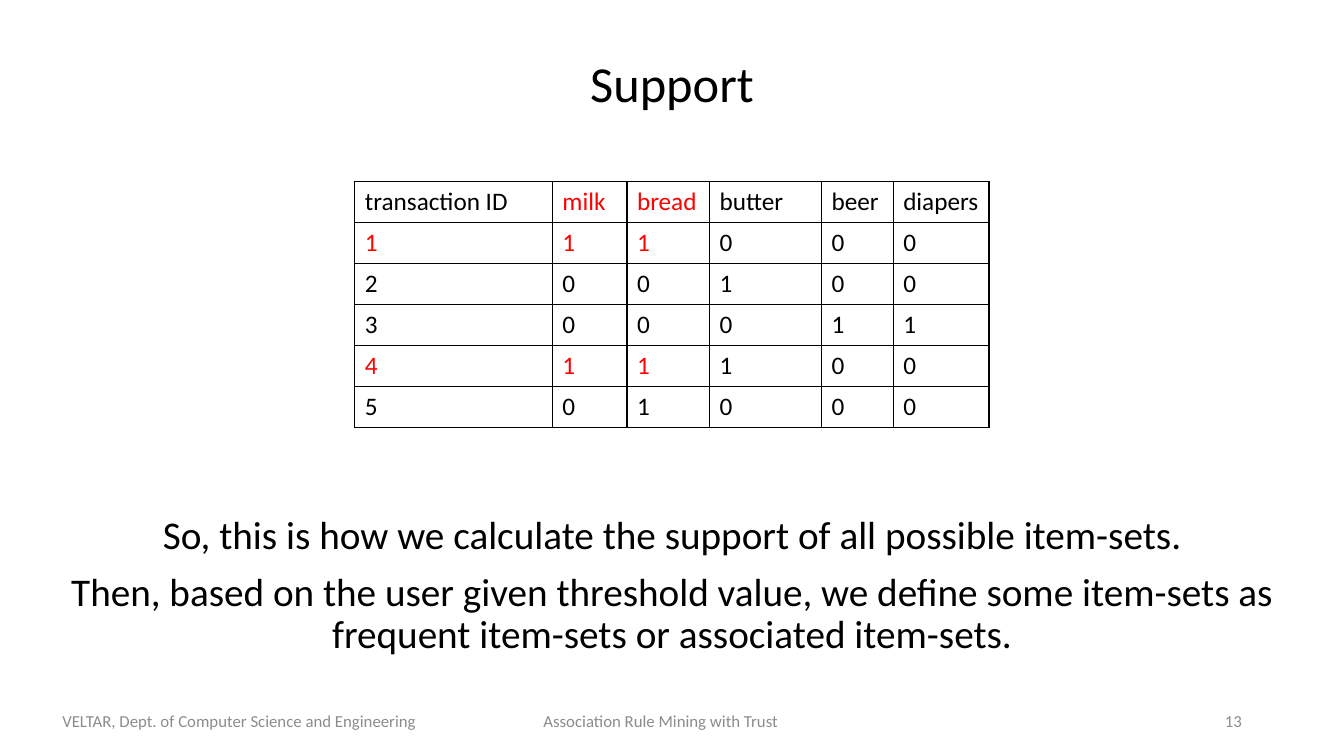
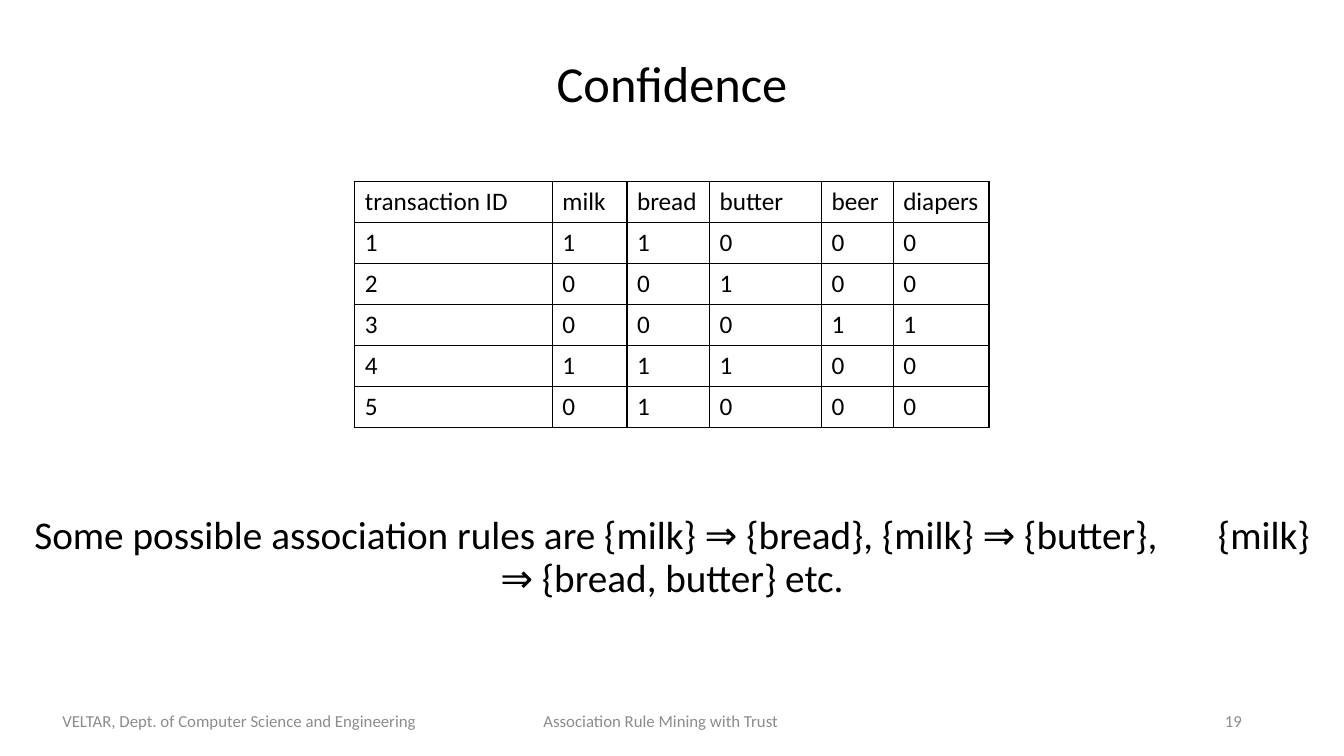
import dataclasses

import lxml.etree
import pptx
import pptx.dml.color
import pptx.enum.text
import pptx.oxml.ns
import pptx.util

ALIGN = pptx.enum.text.PP_ALIGN
ANCHOR = pptx.enum.text.MSO_ANCHOR
qn = pptx.oxml.ns.qn


@dataclasses.dataclass(frozen=True)
class Theme:
    font: str = "Calibri"
    ink: str = "000000"
    accent: str = "FF0000"
    muted: str = "8C8C8C"
    title_size: int = 36
    body_size: int = 28
    table_size: int = 18
    footer_size: int = 12
    line_spacing: float = 0.9
    space_before: int = 10
    border: int = 1
    footer_tab: float = 35.8


# Boxes are left, top, width, height in percent of the slide's size.
TITLE_BOX = (0, 3.6, 100, 15.73)
TABLE_ORIGIN = (26.4, 24)
TABLE_COLUMNS = (14.7, 5.55, 6.15, 8.33, 5.33, 7.13)
TABLE_ROW = 5.42
BODY_BOX = (1.73, 67.6, 96.53, 21.87)
FOOTER_BOX = (3.9, 92.67, 92.25, 5.33)
NUMBER_BOX = (70.65, 92.67, 22.5, 5.33)

FOOTER = "VELTAR, Dept. of Computer Science and Engineering\tAssociation Rule Mining with Trust"
HEADER = ("transaction ID", "milk", "bread", "butter", "beer", "diapers")
TRANSACTIONS = (
    (1, 1, 1, 0, 0, 0),
    (2, 0, 0, 1, 0, 0),
    (3, 0, 0, 0, 1, 1),
    (4, 1, 1, 1, 0, 0),
    (5, 0, 1, 0, 0, 0),
)


def write(p, text, *, font, size, color, align=None, line_spacing=None,
          space_before=None, tracking=None):
    """Append a formatted run to p; tracking is extra letter space in points."""
    if align is not None:
        p.alignment = align
    if line_spacing is not None:
        p.line_spacing = line_spacing
    if space_before is not None:
        p.space_before = pptx.util.Pt(space_before)
    r = p.add_run()
    r.text = text
    r.font.name = font
    r.font.size = pptx.util.Pt(size)
    r.font.color.rgb = pptx.dml.color.RGBColor.from_string(color)
    if tracking is not None:
        r.font._element.set("spc", str(tracking * 100))


class Deck:
    def __init__(self, theme):
        self.theme = theme
        self.prs = pptx.Presentation()
        self.prs.slide_width = pptx.util.Inches(13.33)
        self.prs.slide_height = pptx.util.Inches(7.5)
        self.s = None

    def x(self, share):
        return round(self.prs.slide_width * share / 100)

    def y(self, share):
        return round(self.prs.slide_height * share / 100)

    def place(self, box):
        left, top, width, height = box
        return self.x(left), self.y(top), self.x(width), self.y(height)

    def new_slide(self, title, number):
        self.s = self.prs.slides.add_slide(self.prs.slide_layouts[5])
        self.title(title)
        self.footer(number)

    def title(self, text):
        t = self.theme
        sp = self.s.shapes.title
        sp.left, sp.top, sp.width, sp.height = self.place(TITLE_BOX)
        tf = sp.text_frame
        tf.vertical_anchor = ANCHOR.MIDDLE
        write(tf.paragraphs[0], text, font=t.font, size=t.title_size, color=t.ink,
              align=ALIGN.CENTER, line_spacing=t.line_spacing)

    def text_box(self, box, anchor=ANCHOR.TOP):
        tf = self.s.shapes.add_textbox(*self.place(box)).text_frame
        tf.word_wrap = True
        tf.vertical_anchor = anchor
        return tf

    def footer(self, number):
        t = self.theme
        style = dict(font=t.font, size=t.footer_size, color=t.muted)
        p = self.text_box(FOOTER_BOX, ANCHOR.MIDDLE).paragraphs[0]
        write(p, FOOTER, align=ALIGN.LEFT, **style)
        tabs = lxml.etree.SubElement(p._p.get_or_add_pPr(), qn("a:tabLst"))
        lxml.etree.SubElement(tabs, qn("a:tab"), pos=str(self.x(t.footer_tab)), algn="l")
        p = self.text_box(NUMBER_BOX, ANCHOR.MIDDLE).paragraphs[0]
        write(p, str(number), align=ALIGN.RIGHT, **style)

    def body(self, *paragraphs):
        """Each paragraph is a list of (text, tracking) runs."""
        t = self.theme
        tf = self.text_box(BODY_BOX)
        for i, runs in enumerate(paragraphs):
            p = tf.add_paragraph() if i else tf.paragraphs[0]
            for text, tracking in runs:
                write(p, text, font=t.font, size=t.body_size, color=t.ink,
                      align=ALIGN.CENTER, line_spacing=t.line_spacing,
                      space_before=t.space_before, tracking=tracking)

    def table(self, item_set=()):
        """Draw the transactions, marking those that hold the whole item set."""
        t = self.theme
        rows = (HEADER, *TRANSACTIONS)
        marked = {HEADER.index(item) for item in item_set}
        box = (*TABLE_ORIGIN, sum(TABLE_COLUMNS), TABLE_ROW * len(rows))
        table = self.s.shapes.add_table(len(rows), len(HEADER), *self.place(box)).table
        table.first_row = table.horz_banding = False
        for column, width in zip(table.columns, TABLE_COLUMNS):
            column.width = self.x(width)
        for i, row in enumerate(rows):
            table.rows[i].height = self.y(TABLE_ROW)
            holds = bool(marked) and all(row[j] for j in marked)
            for j, value in enumerate(row):
                hit = holds and (j in marked or (j == 0 and i > 0))
                cell = table.cell(i, j)
                cell.vertical_anchor = ANCHOR.MIDDLE
                write(cell.text_frame.paragraphs[0], str(value), font=t.font,
                      size=t.table_size, color=t.accent if hit else t.ink)
                cell.fill.background()
                self.cell_borders(cell)

    def cell_borders(self, cell):
        tc_pr = cell._tc.get_or_add_tcPr()
        for i, side in enumerate(("a:lnL", "a:lnR", "a:lnT", "a:lnB")):
            ln = lxml.etree.Element(qn(side), w=str(pptx.util.Pt(self.theme.border)))
            fill = lxml.etree.SubElement(ln, qn("a:solidFill"))
            lxml.etree.SubElement(fill, qn("a:srgbClr"), val=self.theme.ink)
            tc_pr.insert(i, ln)


def main():
    deck = Deck(Theme())

    deck.new_slide("Support", 13)
    deck.table(item_set=("milk", "bread"))
    deck.body(
        [("So, this is how we calculate the support of all possible item-sets.", None)],
        [("Then, based on the user given threshold value, we define some item-sets "
          "as frequent item-sets or associated item-sets.", None)],
    )

    deck.new_slide("Confidence", 19)
    deck.table()
    deck.body([
        ("Some possible association rules are {milk} ⇒ {bread}, {milk} ⇒ {butter},", None),
        (" ", 37),
        ("{milk} ⇒ {bread, butter} etc.", None),
    ])

    deck.prs.save("out.pptx")


if __name__ == "__main__":
    main()
